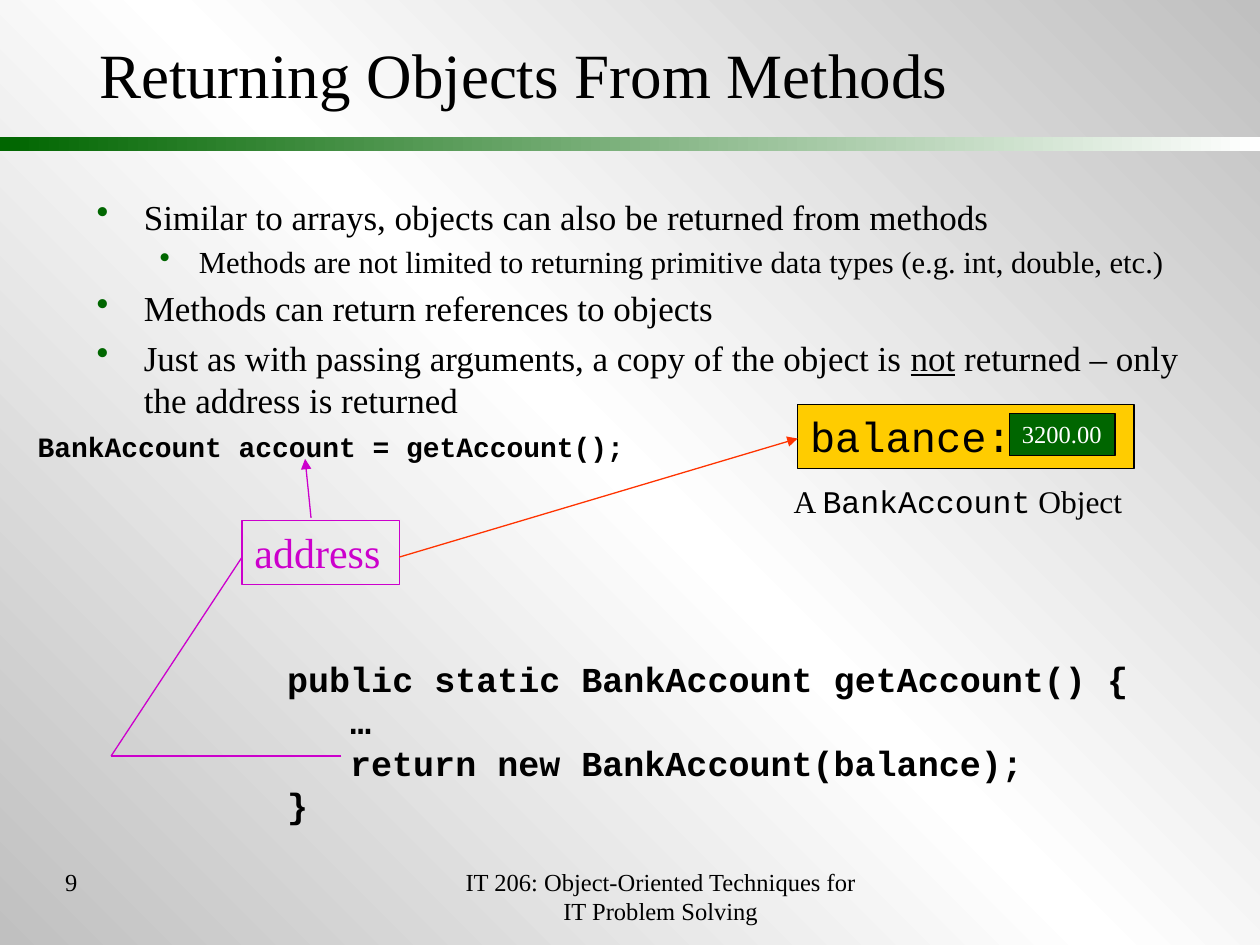
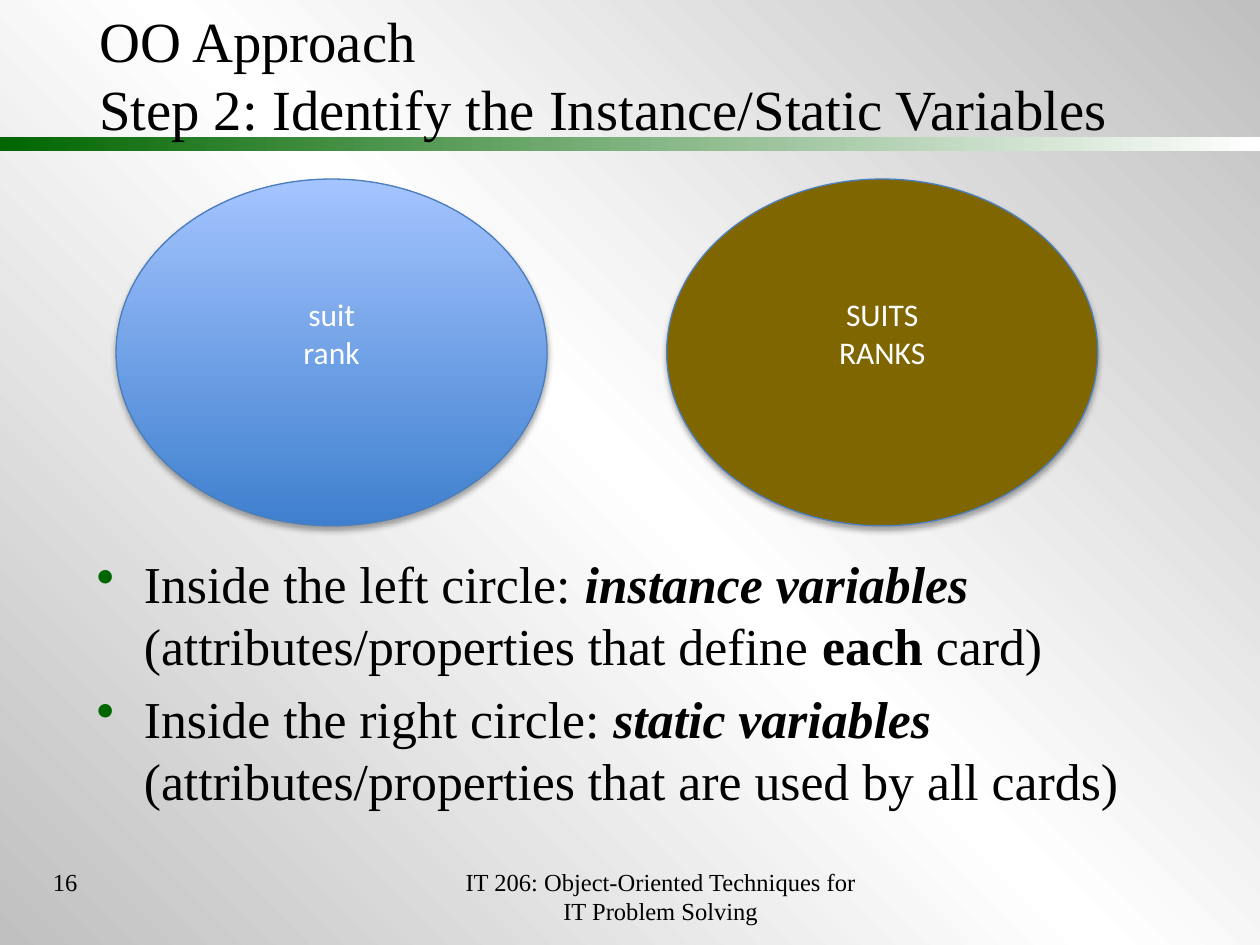
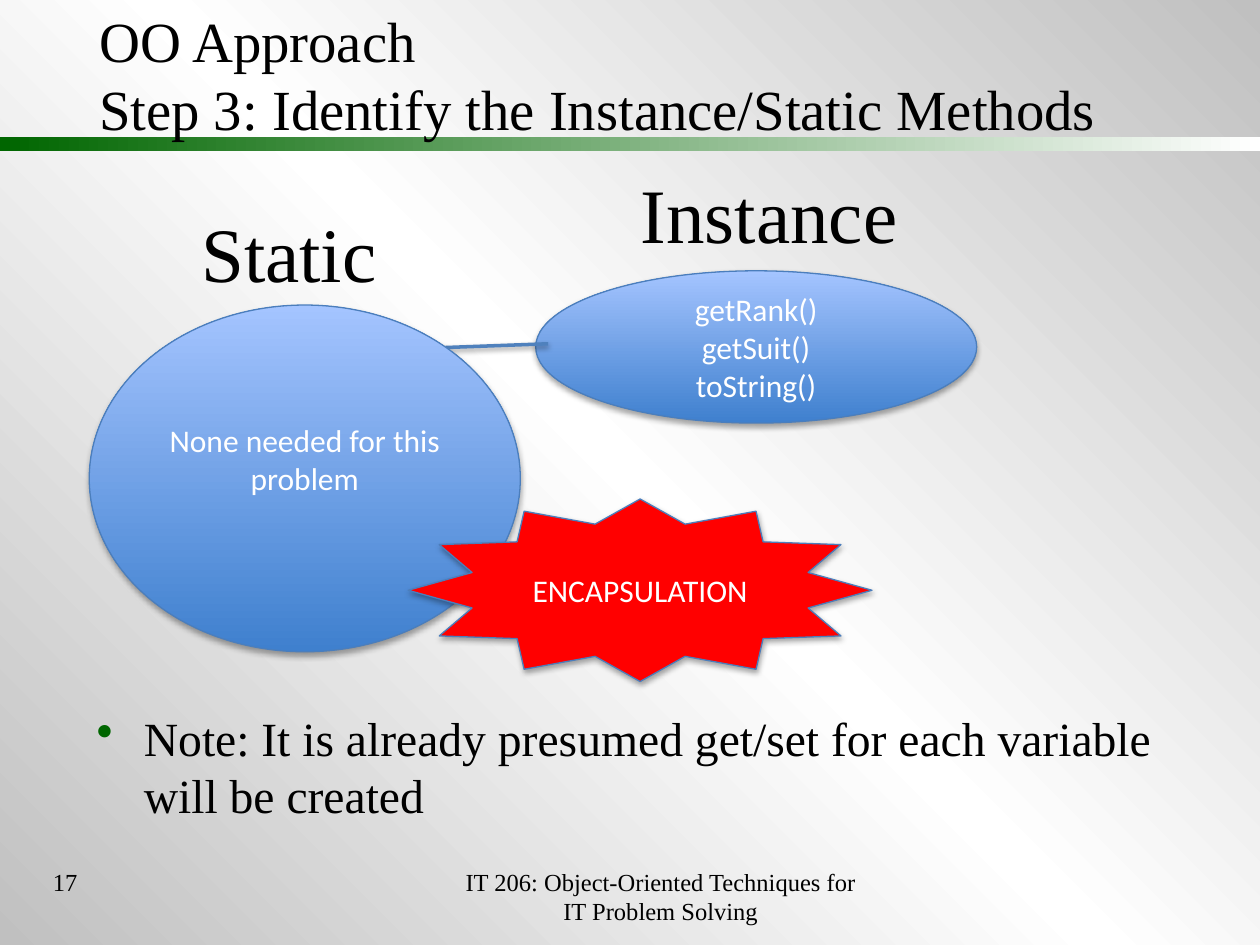
from dataclasses import dataclass

from lxml.etree import SubElement
from pptx import Presentation
from pptx.dml.color import RGBColor
from pptx.enum.shapes import MSO_CONNECTOR, MSO_SHAPE
from pptx.enum.text import MSO_ANCHOR, PP_ALIGN
from pptx.oxml.ns import qn
from pptx.util import Cm, Pt


@dataclass(frozen=True)
class Theme:
    serif: str = "Times New Roman"
    mono: str = "Courier New"
    sans: str = "Calibri"
    black: str = "000000"
    white: str = "FFFFFF"
    silver: str = "C0C0C0"
    green: str = "006600"
    gold: str = "FFCC00"
    olive: str = "806600"
    red: str = "FF0000"
    orange: str = "FF3300"
    magenta: str = "CC00CC"
    outline: str = "4B7EBC"
    link: str = "4F81BD"
    sky: tuple = ((0, "3F80CE"), (100, "A4C4FF"))
    title_size: float = 36
    long_title_size: float = 32.4
    heading_size: float = 44
    label_size: float = 24
    code_size: float = 20
    caption_size: float = 18
    call_size: float = 16
    small_size: float = 14


FOOTER = "IT 206: Object-Oriented Techniques for IT Problem Solving"
BULLET_INDENTS = ((0.95, 0.95), (2.06, 0.79))
CIRCLE_SIZE = (8.69, 6.99)
RAISED_TEXT = 0.9


class SlideBuilder:
    def __init__(self, deck, theme):
        self.deck = deck
        self.theme = theme
        self.page = None
        master = deck.slide_master
        self.gradient(master.background.fill, master.element,
                      ((0, theme.silver), (50, theme.white), (100, theme.silver)), 45)

    def gradient(self, fill, element, stops, angle):
        fill.gradient()
        fill.gradient_angle = angle
        stop_list = next(element.iter(qn("a:gsLst")))
        for stop in list(stop_list):
            stop_list.remove(stop)
        for position, color in stops:
            stop = SubElement(stop_list, qn("a:gs"), pos=str(position * 1000))
            SubElement(stop, qn("a:srgbClr"), val=color)

    def shadow(self, effects, opacity, distance):
        outer = SubElement(effects, qn("a:outerShdw"), blurRad="40000", dist=str(distance),
                           dir="5400000", rotWithShape="0")
        color = SubElement(outer, qn("a:srgbClr"), val=self.theme.black)
        SubElement(color, qn("a:alpha"), val=str(opacity * 1000))

    def start_page(self, number, title, size):
        theme = self.theme
        self.page = self.deck.slides.add_slide(self.deck.slide_layouts[6])
        self.shape(MSO_SHAPE.RECTANGLE, (0, 2.76, 25.4, 0.28),
                   ((0, theme.green), (100, theme.white)), None, angle=0)
        self.text((1.75, 0.43, 22.66, 2.11), [title], size, anchor=MSO_ANCHOR.MIDDLE)
        self.text((0.51, 17.35, 1.3, 1.27), [str(number)], theme.small_size,
                  align=PP_ALIGN.RIGHT)
        self.text((9.09, 17.35, 8.46, 1.27), [FOOTER], theme.small_size,
                  align=PP_ALIGN.CENTER)

    def style(self, span, size, font=None, color=None, bold=False):
        span.font.size = Pt(size)
        span.font.name = font or self.theme.serif
        span.font.bold = bold
        span.font.color.rgb = RGBColor.from_string(color or self.theme.black)

    def set_lines(self, frame, lines, size, font=None, color=None, bold=False,
                  align=PP_ALIGN.LEFT, anchor=MSO_ANCHOR.TOP, wrap=True):
        frame.word_wrap = wrap
        frame.vertical_anchor = anchor
        for index, line in enumerate(lines):
            para = frame.add_paragraph() if index else frame.paragraphs[0]
            para.text = line
            para.alignment = align
            for span in para.runs:
                self.style(span, size, font, color, bold)
        return frame

    def text(self, place, lines, size, **look):
        box = self.page.shapes.add_textbox(*map(Cm, place))
        return self.set_lines(box.text_frame, lines, size, **look)

    def bullets(self, place, items):
        frame = self.text(place, [], self.theme.code_size)
        for index, (level, size, spans) in enumerate(items):
            para = frame.add_paragraph() if index else frame.paragraphs[0]
            para.level = level
            para.space_before = Pt(size * 0.2)
            left, hang = BULLET_INDENTS[level]
            properties = para._p.get_or_add_pPr()
            properties.set("marL", str(Cm(left)))
            properties.set("indent", str(-Cm(hang)))
            color = SubElement(properties, qn("a:buClr"))
            SubElement(color, qn("a:srgbClr"), val=self.theme.green)
            SubElement(properties, qn("a:buChar"), char="•")
            for words, marks in spans:
                span = para.add_run()
                span.text = words
                self.style(span, size, bold="b" in marks)
                span.font.italic = "i" in marks
                span.font.underline = "u" in marks

    def shape(self, kind, place, fill, line, angle=90):
        shape = self.page.shapes.add_shape(kind, *map(Cm, place))
        shape.shadow.inherit = False
        if fill is None:
            shape.fill.background()
        elif isinstance(fill, str):
            shape.fill.solid()
            shape.fill.fore_color.rgb = RGBColor.from_string(fill)
        else:
            self.gradient(shape.fill, shape.element, fill, angle)
        if line:
            shape.line.color.rgb = RGBColor.from_string(line)
            shape.line.width = Pt(0.75)
        else:
            shape.line.fill.background()
        return shape

    def label(self, place, words, fill, line, size, **look):
        box = self.shape(MSO_SHAPE.RECTANGLE, place, fill, line)
        self.set_lines(box.text_frame, [words], size, **look)

    def raised(self, kind, place, lines, fill, bottom=0.13):
        theme = self.theme
        shape = self.shape(kind, place, fill, theme.outline)
        self.shadow(next(shape.element.iter(qn("a:effectLst"))), 35, 23000)
        frame = self.set_lines(shape.text_frame, lines, theme.caption_size,
                               font=theme.sans, color=theme.white,
                               align=PP_ALIGN.CENTER, anchor=MSO_ANCHOR.MIDDLE)
        frame.margin_bottom = Cm(bottom)

    def line(self, start, end, color, width=0.75, arrow=False, shadow=False):
        line = self.page.shapes.add_connector(MSO_CONNECTOR.STRAIGHT, *map(Cm, start + end))
        line.line.color.rgb = RGBColor.from_string(color)
        line.line.width = Pt(width)
        if arrow:
            SubElement(next(line.element.iter(qn("a:ln"))), qn("a:tailEnd"), type="triangle")
        effects = SubElement(line.element.spPr, qn("a:effectLst"))
        if shadow:
            self.shadow(effects, 38, 20000)


def add_returning_objects(builder):
    theme = builder.theme
    builder.start_page(9, "Returning Objects From Methods", theme.title_size)
    builder.bullets((1.7, 3.81, 22.66, 4.45), [
        (0, 20, [("Similar to arrays, objects can also be returned from methods", "")]),
        (1, 17.5, [("Methods are not limited to returning primitive data types "
                    "(e.g. int, double, etc.)", "")]),
        (0, 20, [("Methods can return references to objects", "")]),
        (0, 20, [("Just as with passing arguments, a copy of the object is ", ""),
                 ("not", "u"), (" returned – only the address is returned", "")]),
    ])
    builder.text((0.51, 8.53, 15.16, 0.94), ["BankAccount account = getAccount();"],
                 theme.call_size, font=theme.mono, bold=True)
    method = builder.text((5.54, 13.13, 17.6, 3.68), [
        "public static BankAccount getAccount() {",
        "…",
        "return new BankAccount(balance);",
        "}",
    ], theme.code_size, font=theme.mono, bold=True)
    for para in method.paragraphs[1:3]:
        para._p.get_or_add_pPr().set("marL", str(Cm(1.27)))

    builder.label((16.08, 8.15, 6.78, 1.3), "balance:", theme.gold, theme.black,
                  theme.label_size, font=theme.mono)
    builder.label((20.35, 8.33, 2.13, 0.86), "3200.00", theme.green, theme.black,
                  theme.small_size, color=theme.white, wrap=False)
    builder.label((4.88, 10.49, 3.18, 1.3), "address", None, theme.magenta,
                  theme.label_size, color=theme.magenta)

    corner = (2.24, 15.24)
    builder.line((6.27, 10.44), (6.15, 9.25), theme.magenta, arrow=True)
    builder.line((6.88, 15.24), corner, theme.magenta)
    builder.line(corner, (4.88, 11.23), theme.magenta)
    builder.line((8.05, 11.23), (16.08, 8.84), theme.orange, arrow=True)

    caption = builder.text((15.75, 9.6, 7.16, 1.02), [], theme.caption_size, wrap=False)
    for words, font in (("A ", theme.serif), ("BankAccount", theme.mono),
                        (" Object", theme.serif)):
        span = caption.paragraphs[0].add_run()
        span.text = words
        builder.style(span, theme.caption_size, font)


def add_variables(builder):
    theme = builder.theme
    builder.start_page(16, "OO Approach\nStep 2: Identify the Instance/Static Variables",
                       theme.long_title_size)
    builder.bullets((1.7, 11, 22.66, 5.28), [
        (0, 29.6, [("Inside the left circle: ", ""), ("instance variables", "bi"),
                   (" (attributes/properties that define ", ""), ("each", "b"),
                   (" card)", "")]),
        (0, 29.6, [("Inside the right circle: ", ""), ("static variables", "bi"),
                   (" (attributes/properties that are used by all cards)", "")]),
    ])
    for left, names, fill in ((2.34, ["suit", "rank"], theme.sky),
                              (13.44, ["SUITS", "RANKS"], theme.olive)):
        builder.raised(MSO_SHAPE.OVAL, (left, 3.61, *CIRCLE_SIZE), names, fill, RAISED_TEXT)


def add_methods(builder):
    theme = builder.theme
    builder.start_page(17, "OO Approach\nStep 3: Identify the Instance/Static Methods",
                       theme.long_title_size)
    builder.bullets((1.7, 14.17, 22.66, 2.11), [
        (0, 27.2, [("Note: It is already presumed get/set for each variable "
                    "will be created", "")]),
    ])
    builder.raised(MSO_SHAPE.OVAL, (10.8, 5.46, 8.89, 3.07),
                   ["getRank()", "getSuit()", "toString()"], theme.sky)
    builder.line((8.86, 7.01), (11.05, 6.93), theme.link, width=2, shadow=True)
    builder.raised(MSO_SHAPE.OVAL, (1.8, 6.15, *CIRCLE_SIZE),
                   ["None needed for this problem"], theme.sky, RAISED_TEXT)
    builder.raised(MSO_SHAPE.STAR_12_POINT, (8.23, 10.06, 9.35, 3.68),
                   ["ENCAPSULATION"], theme.red)
    builder.text((3.81, 4.01, 4.09, 2.13), ["Static"], theme.heading_size, wrap=False)
    builder.text((12.67, 3.23, 5.74, 2.13), ["Instance"], theme.heading_size, wrap=False)


def main():
    deck = Presentation()
    deck.slide_width = Cm(25.4)
    deck.slide_height = Cm(19.05)
    builder = SlideBuilder(deck, Theme())
    add_returning_objects(builder)
    add_variables(builder)
    add_methods(builder)
    deck.save("out.pptx")


if __name__ == "__main__":
    main()
